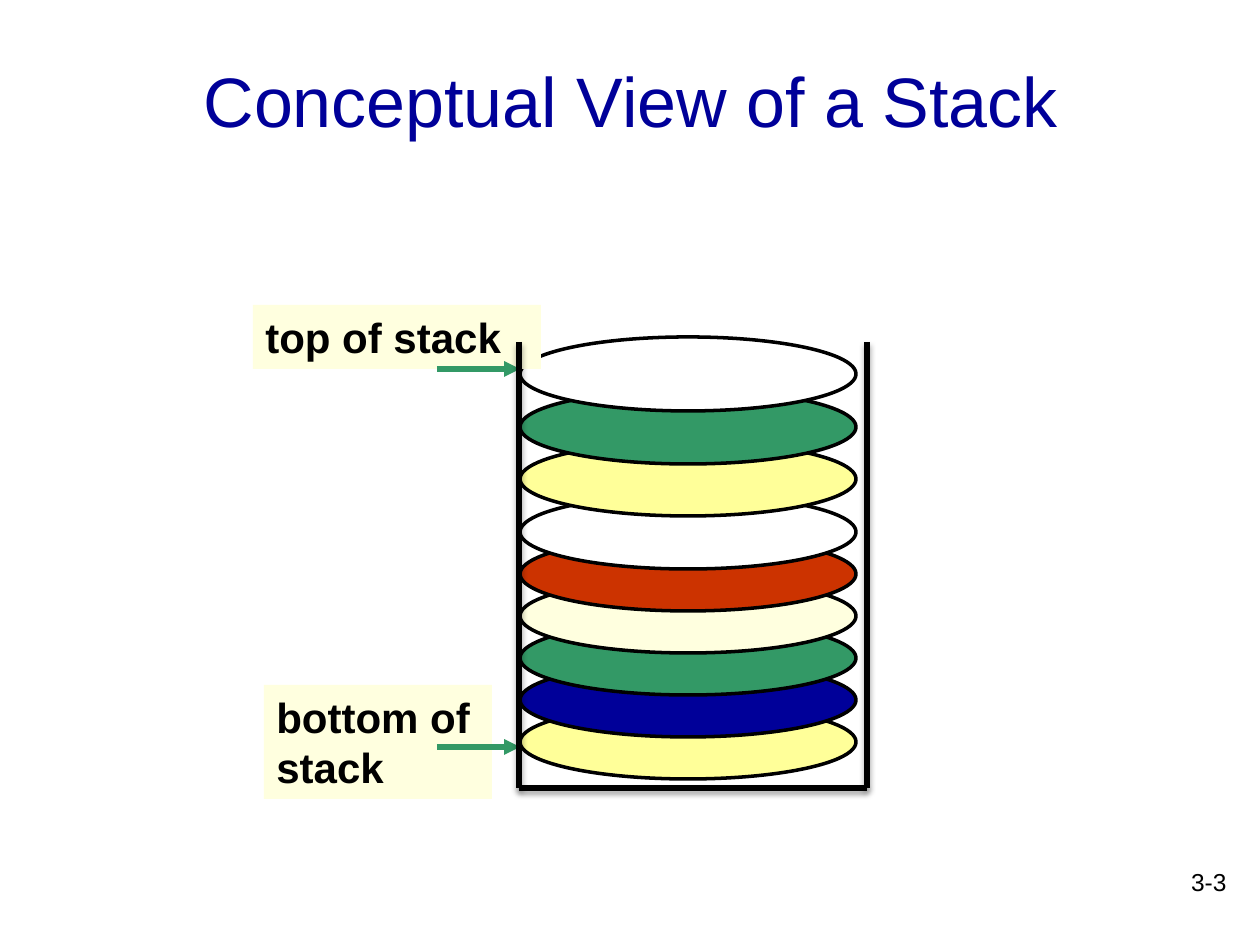
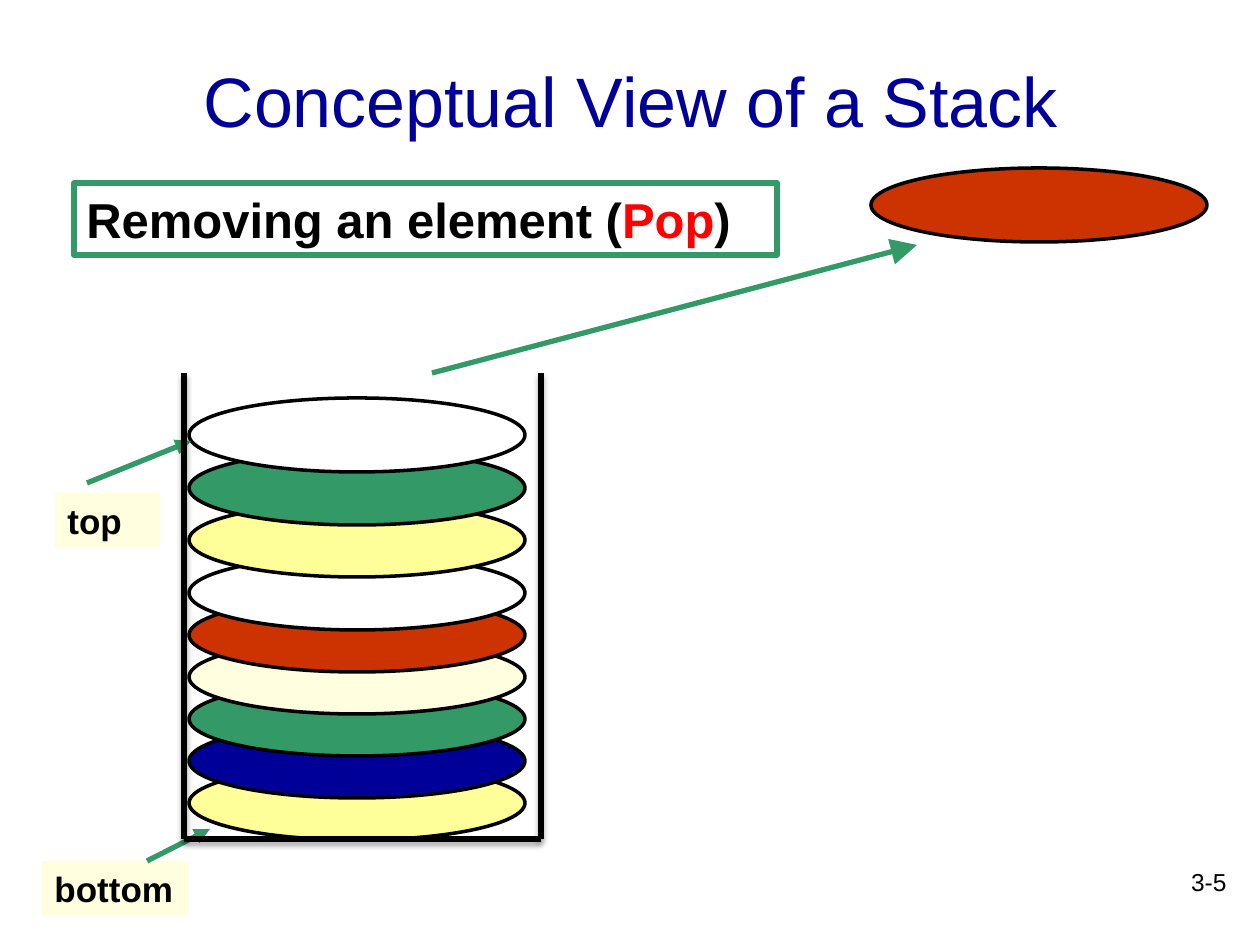
"""Build two slides that show a stack of plates and its pop operation."""
from dataclasses import dataclass

from lxml import etree
from pptx import Presentation
from pptx.dml.color import RGBColor
from pptx.enum.shapes import MSO_CONNECTOR, MSO_SHAPE
from pptx.enum.text import MSO_ANCHOR, PP_ALIGN
from pptx.oxml.ns import qn
from pptx.util import Emu, Pt

STRAIGHT = MSO_CONNECTOR.STRAIGHT
OVAL, RECTANGLE = MSO_SHAPE.OVAL, MSO_SHAPE.RECTANGLE
LEFT, CENTER, RIGHT = PP_ALIGN.LEFT, PP_ALIGN.CENTER, PP_ALIGN.RIGHT
TOP, MIDDLE = MSO_ANCHOR.TOP, MSO_ANCHOR.MIDDLE
PX = 914400 / 126
TITLE_ONLY = 5


@dataclass(frozen=True)
class Theme:
    font: str = "Arial"
    black: str = "000000"
    white: str = "FFFFFF"
    navy: str = "000099"
    green: str = "339966"
    yellow: str = "FFFF99"
    cream: str = "FFFFDF"
    rust: str = "CC3300"
    red: str = "FF0000"
    title_size: int = 40
    heading_size: int = 28
    label_size: int = 24
    small_label_size: int = 20
    number_size: int = 14
    outline: int = 2
    stroke: int = 3


THEME = Theme()


def write_text(shape, runs, size, color=THEME.black, bold=False, align=LEFT, anchor=TOP):
    frame = shape.text_frame
    frame.word_wrap = True
    frame.vertical_anchor = anchor
    paragraph = frame.paragraphs[0]
    paragraph.alignment = align
    for text, run_color in runs:
        run = paragraph.add_run()
        run.text = text
        run.font.name = THEME.font
        run.font.size = Pt(size)
        run.font.bold = bold
        run.font.color.rgb = RGBColor.from_string(run_color or color)


def draw_line(slide, points, color, head=None, shadow=False):
    connector = slide.shapes.add_connector(STRAIGHT, *[Emu(round(point * PX)) for point in points])
    connector.line.color.rgb = RGBColor.from_string(color)
    connector.line.width = Pt(THEME.stroke)
    properties = connector._element.spPr
    if head:
        etree.SubElement(properties.find(qn("a:ln")), qn("a:tailEnd"), type="triangle", w=head, len=head)
    effects = etree.SubElement(properties, qn("a:effectLst"))
    if shadow:
        outer = etree.SubElement(effects, qn("a:outerShdw"), blurRad=str(Pt(3.1)), dist=str(Pt(1.8)),
                                 dir="5400000", rotWithShape="0")
        shade = etree.SubElement(outer, qn("a:srgbClr"), val=THEME.black)
        etree.SubElement(shade, qn("a:alpha"), val="35000")


PLATE_WIDTH, PLATE_HEIGHT = 336, 74
PLATES = [
    (THEME.yellow, 0), (THEME.navy, 42), (THEME.green, 84),
    (THEME.cream, 126), (THEME.rust, 168), (THEME.white, 210),
    (THEME.yellow, 263), (THEME.green, 315), (THEME.white, 368),
]

VIEWS = [
    {
        "number": "3-3",
        "stack": (520, 705),
        "popped": [],
        "headings": [],
        "label_size": THEME.label_size,
        "labels": [("bottom of stack", (264, 685, 228, 114)), ("top of stack", (253, 305, 288, 64))],
        "arrows": [((437, 369, 520, 369), "med"), ((437, 747, 520, 747), "med")],
        "container": (519, 342, 867, 788),
    },
    {
        "number": "3-5",
        "stack": (189, 766),
        "popped": [(THEME.rust, 871, 168)],
        "headings": [[("Removing an element (", None), ("Pop", THEME.red), (")", None)]],
        "label_size": THEME.small_label_size,
        "labels": [("top", (55, 493, 105, 55)), ("bottom", (42, 861, 147, 55))],
        "arrows": [((147, 861, 210, 829), "med"), ((87, 483, 191, 441), "med"),
                   ((432, 373, 917, 245), "lg")],
        "container": (184, 373, 541, 839),
    },
]

presentation = Presentation()
presentation.slide_width = Emu(round(1260 * PX))
presentation.slide_height = Emu(round(945 * PX))
layout = presentation.slide_layouts[TITLE_ONLY]

for view in VIEWS:
    slide = presentation.slides.add_slide(layout)
    title = slide.shapes.title
    title.left, title.top, title.width, title.height = [Emu(round(side * PX)) for side in (95, 21, 1071, 158)]
    write_text(title, [("Conceptual View of a Stack", None)], THEME.title_size,
               color=THEME.navy, align=CENTER, anchor=MIDDLE)

    number = slide.shapes.add_textbox(*[Emu(round(side * PX)) for side in (977, 861, 262, 63)])
    write_text(number, [(view["number"], None)], THEME.number_size, align=RIGHT)

    for heading in view["headings"]:
        box = slide.shapes.add_shape(RECTANGLE, *[Emu(round(side * PX)) for side in (74, 183, 703, 72)])
        box.shadow.inherit = False
        box.fill.background()
        box.line.color.rgb = RGBColor.from_string(THEME.green)
        box.line.width = Pt(THEME.stroke)
        write_text(box, heading, THEME.heading_size, bold=True)

    stack_left, stack_bottom = view["stack"]
    stacked = [(color, stack_left, stack_bottom - rise) for color, rise in PLATES]
    for color, left, top in stacked + view["popped"]:
        bounds = (left, top, PLATE_WIDTH, PLATE_HEIGHT)
        plate = slide.shapes.add_shape(OVAL, *[Emu(round(side * PX)) for side in bounds])
        plate.shadow.inherit = False
        plate.fill.solid()
        plate.fill.fore_color.rgb = RGBColor.from_string(color)
        plate.line.color.rgb = RGBColor.from_string(THEME.black)
        plate.line.width = Pt(THEME.outline)

    for text, bounds in view["labels"]:
        label = slide.shapes.add_shape(RECTANGLE, *[Emu(round(side * PX)) for side in bounds])
        label.shadow.inherit = False
        label.fill.solid()
        label.fill.fore_color.rgb = RGBColor.from_string(THEME.cream)
        label.line.fill.background()
        write_text(label, [(text, None)], view["label_size"], bold=True)

    for points, head in view["arrows"]:
        draw_line(slide, points, THEME.green, head=head)

    left, top, right, bottom = view["container"]
    for wall in ((left, top, left, bottom), (left, bottom, right, bottom), (right, top, right, bottom)):
        draw_line(slide, wall, THEME.black, shadow=True)

presentation.save("out.pptx")
